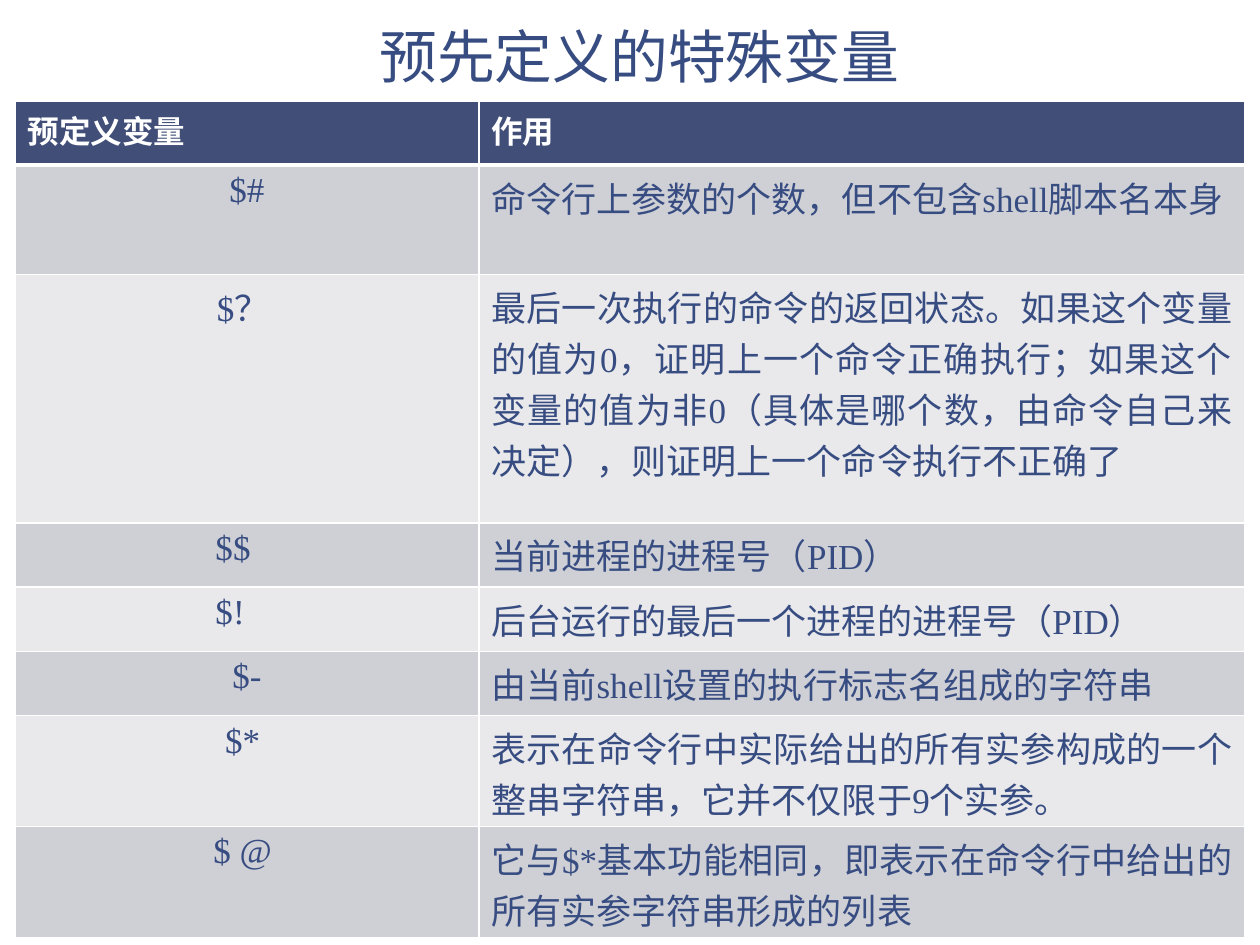
from pptx import Presentation
from pptx.dml.color import RGBColor
from pptx.enum.text import MSO_ANCHOR, PP_ALIGN
from pptx.util import Inches, Pt
from lxml.etree import SubElement
from pptx.oxml.ns import qn

COLS, ROWS = 100, 75
HAN = "Noto Sans CJK SC"
ITEMS = [
    ("预定义变量", "作用", 5.1),
    ("$#", "命令行上参数的个数，但不包含shell脚本名本身", 8.7),
    ("$？ ", "最后一次执行的命令的返回状态。如果这个变量的值为0，证明上一个命令正确执行；"
     "如果这个变量的值为非0（具体是哪个数，由命令自己来决定），则证明上一个命令执行不正确了", 19.7),
    ("$$ \t", "当前进程的进程号（PID）", 5.1),
    ("$! \t", "后台运行的最后一个进程的进程号（PID）", 5.1),
    ("$-", "由当前shell设置的执行标志名组成的字符串", 5.1),
    ("$* ", "表示在命令行中实际给出的所有实参构成的一个整串字符串，它并不仅限于9个实参。", 8.8),
    ("$ @ ", "它与$*基本功能相同，即表示在命令行中给出的所有实参字符串形成的列表", 8.8),
]


def tint(code):
    return RGBColor.from_string(code)


def apply(target, values):
    for name, value in values.items():
        setattr(target, name, value)


class Deck:
    ink, head, white = "374C81", "414E77", "FFFFFF"
    bands = ("E9E9EC", "CFD0D6")

    def __init__(self):
        self.show = Presentation()
        apply(self.show, {"slide_width": Inches(10), "slide_height": Inches(7.5)})
        self.slide = self.show.slides.add_slide(self.show.slide_layouts[6])

    def wide(self, count):
        return int(self.show.slide_width * count / COLS)

    def high(self, count):
        return int(self.show.slide_height * count / ROWS)

    def area(self, left, top, width, height):
        return self.wide(left), self.high(top), self.wide(width), self.high(height)

    def label(self, frame, text, color, font, para):
        line = frame.paragraphs[0]
        apply(line, para)
        run = line.add_run()
        run.text = text
        apply(run.font, font)
        run.font.color.rgb = tint(color)
        SubElement(run.font._element, qn("a:ea"), typeface=HAN)

    def title(self, text, *place):
        frame = self.slide.shapes.add_textbox(*self.area(*place)).text_frame
        apply(frame, {"word_wrap": True, "vertical_anchor": MSO_ANCHOR.BOTTOM,
                      "margin_left": Inches(0.13), "margin_right": Inches(0.13),
                      "margin_top": Inches(0.07), "margin_bottom": Inches(0.07)})
        self.label(frame, text, self.ink, {"name": HAN, "size": Pt(33)},
                   {"alignment": PP_ALIGN.CENTER, "line_spacing": 0.85})

    def border(self, cell, sides):
        props = cell._tc.get_or_add_tcPr()
        for side, width in sides.items():
            line = SubElement(props, qn(f"a:ln{side}"), w=str(Pt(width)))
            fill = SubElement(line, qn("a:solidFill"))
            SubElement(fill, qn("a:srgbClr"), val=self.white)

    def table(self, items, widths, left, top):
        total = sum(item[-1] for item in items)
        place = self.area(left, top, sum(widths), total)
        grid = self.slide.shapes.add_table(len(items), len(widths), *place).table
        for column, width in zip(grid.columns, widths):
            column.width = self.wide(width)
        aligns = (PP_ALIGN.CENTER, PP_ALIGN.JUSTIFY)
        for row, (*texts, height) in enumerate(items):
            grid.rows[row].height = self.high(height)
            first = row == 0
            font = ({"name": "Arial", "size": Pt(18), "bold": True} if first else
                    {"name": "Times New Roman", "size": Pt(20), "bold": False})
            for col, text in enumerate(texts):
                cell = grid.cell(row, col)
                self.border(cell, {"L": 1, "R": 1, "T": 3 if row == 1 else 1,
                                   "B": 3 if first else 1})
                cell.fill.solid()
                cell.fill.fore_color.rgb = tint(self.head if first else self.bands[row % 2])
                self.label(cell.text_frame, text, self.white if first else self.ink, font,
                           {"alignment": PP_ALIGN.LEFT if first else aligns[col]})

    def save(self):
        self.show.save("out.pptx")


def main():
    deck = Deck()
    deck.title("预先定义的特殊变量", 9.1, -0.4, 83.3, 8.3)
    deck.table(ITEMS, (36.8, 60.8), 1.2, 8)
    deck.save()


if __name__ == "__main__":
    main()
